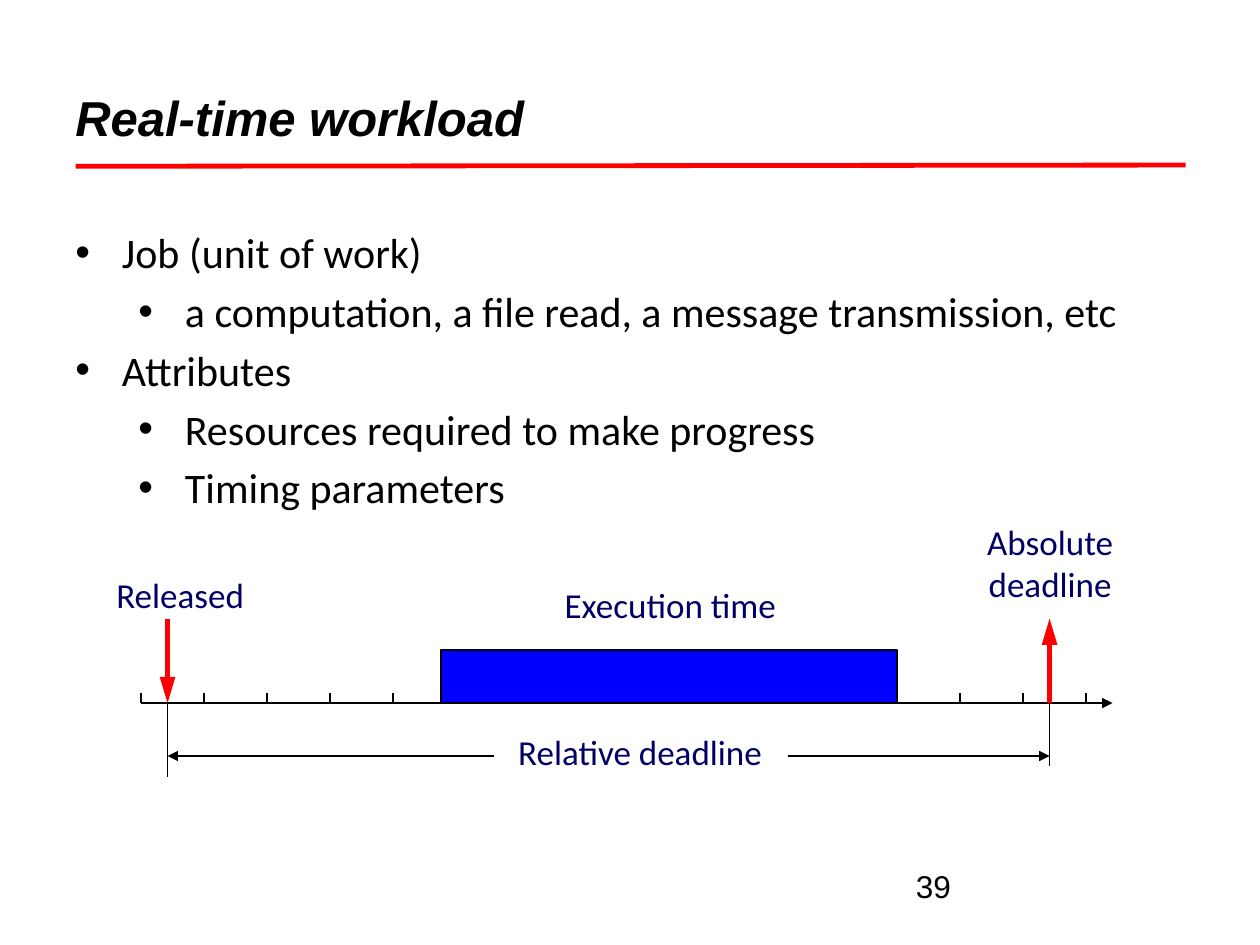
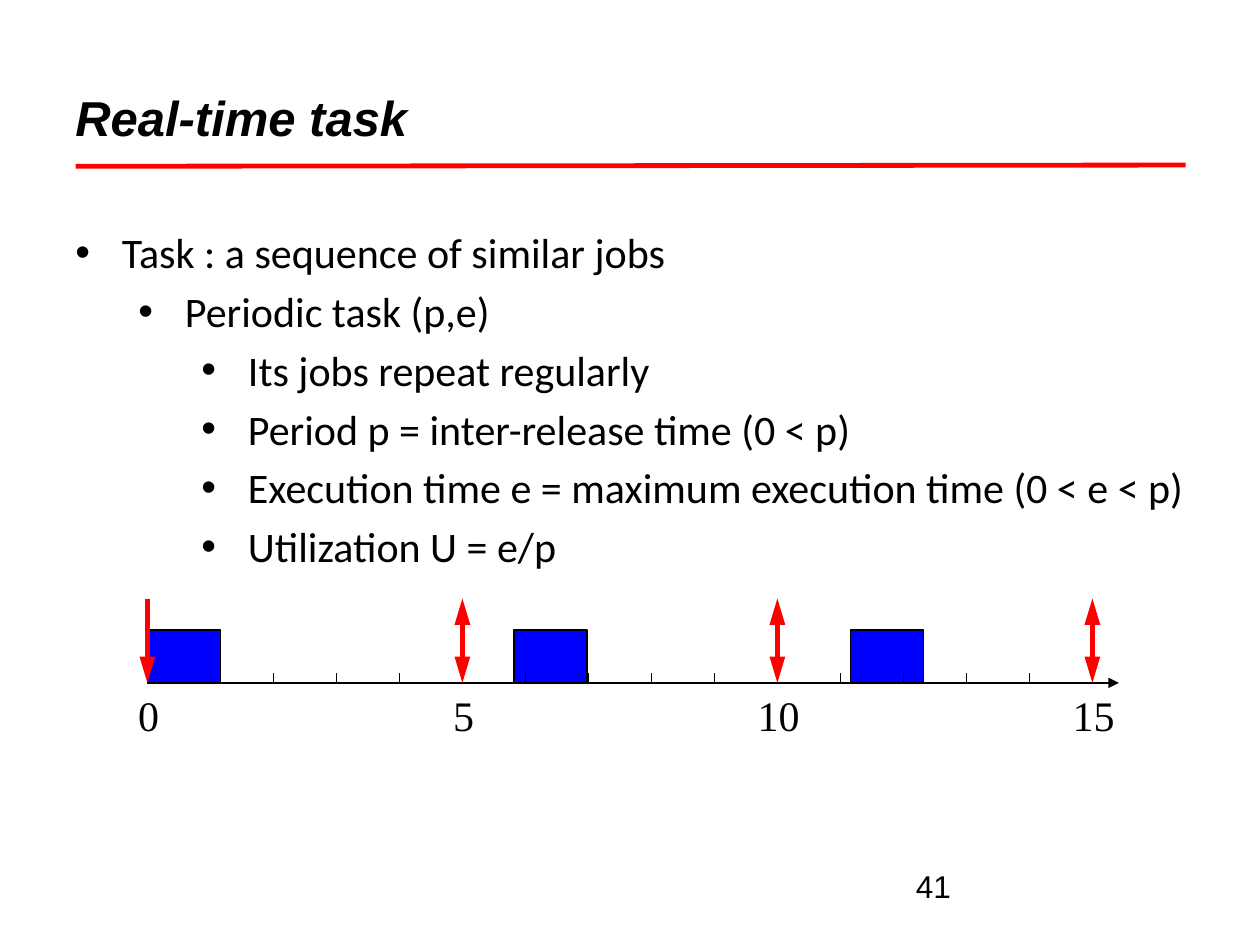
from pptx import Presentation
from pptx.dml.color import RGBColor
from pptx.enum.shapes import MSO_CONNECTOR, MSO_SHAPE
from pptx.enum.text import MSO_ANCHOR, PP_ALIGN
from pptx.oxml.ns import qn
from pptx.util import Inches, Pt
from lxml import etree

STRAIGHT = MSO_CONNECTOR.STRAIGHT
RECTANGLE = MSO_SHAPE.RECTANGLE
MIDDLE = MSO_ANCHOR.MIDDLE
TOP = MSO_ANCHOR.TOP
LEFT = PP_ALIGN.LEFT
CENTER = PP_ALIGN.CENTER
JUSTIFY = PP_ALIGN.JUSTIFY

BLACK = RGBColor(0x00, 0x00, 0x00)
RED = RGBColor(0xFF, 0x00, 0x00)
BLUE = RGBColor(0x00, 0x00, 0xFF)
NAVY = RGBColor(0x00, 0x00, 0x66)

TITLE_FONT = {"name": "Arial", "size": Pt(28), "bold": True, "italic": True}
BODY_FONT = {"name": "Calibri", "size": Pt(24)}
PAGE_FONT = {"name": "Arial", "size": Pt(18)}
LABEL_FONT = {"name": "Calibri", "size": Pt(20)}
TIME_FONT = {"name": "Times New Roman", "size": Pt(24)}

TICK_COUNT = 16
TICK_STEP = 0.5
TICK_HEIGHT = 0.08
AXIS_LENGTH = 7.71
JOB_HEIGHT = 0.42
EVENT_HEIGHT = 0.67
THIN = 0.75


def write(paragraph, text, font, color=BLACK):
    run = paragraph.add_run()
    run.text = text
    for attribute, value in font.items():
        setattr(run.font, attribute, value)
    run.font.color.rgb = color


def add_frame(slide, left, top, width, height, anchor=TOP):
    box = slide.shapes.add_textbox(
        Inches(left), Inches(top), Inches(width), Inches(height))
    frame = box.text_frame
    frame.word_wrap = True
    frame.vertical_anchor = anchor
    return frame


def add_text(slide, place, text, font, color=BLACK, align=LEFT, anchor=TOP):
    paragraph = add_frame(slide, *place, anchor).paragraphs[0]
    paragraph.alignment = align
    write(paragraph, text, font, color)


def add_bullets(slide, items):
    """Add (level, text) items as the body list."""
    frame = add_frame(slide, 0.5, 1.75, 9.1, 4.95)
    for index, (level, text) in enumerate(items):
        paragraph = frame.add_paragraph() if index else frame.paragraphs[0]
        properties = paragraph._p.get_or_add_pPr()
        properties.set("marL", str(Inches(0.37 + 0.5 * level)))
        properties.set("indent", str(Inches(-0.37)))
        etree.SubElement(properties, qn("a:buFont")).set("typeface", "Arial")
        etree.SubElement(properties, qn("a:buChar")).set("char", "•")
        paragraph.level = level
        paragraph.alignment = JUSTIFY
        if index:
            paragraph.space_before = Pt(4.8)
        write(paragraph, text, BODY_FONT)


def add_line(slide, start, end, color=BLACK, width=THIN, heads=(),
             head_length="med"):
    """Draw a line; heads may hold "headEnd" (start) and "tailEnd" (end)."""
    points = [Inches(value) for value in (*start, *end)]
    connector = slide.shapes.add_connector(STRAIGHT, *points)
    connector.line.color.rgb = color
    connector.line.width = Pt(width)
    properties = connector.element.spPr
    outline = properties.find(qn("a:ln"))
    for head in heads:
        arrowhead = etree.SubElement(outline, qn(f"a:{head}"))
        arrowhead.set("type", "triangle")
        arrowhead.set("len", head_length)
    etree.SubElement(properties, qn("a:effectLst"))


def add_job(slide, left, baseline, width):
    job = slide.shapes.add_shape(
        RECTANGLE, Inches(left), Inches(baseline - JOB_HEIGHT),
        Inches(width), Inches(JOB_HEIGHT))
    job.shadow.inherit = False
    job.fill.solid()
    job.fill.fore_color.rgb = BLUE
    job.line.color.rgb = BLACK
    job.line.width = Pt(1)


def add_timeline(slide, left, baseline):
    add_line(slide, (left, baseline), (left + AXIS_LENGTH, baseline),
             heads=["tailEnd"])
    for tick in range(TICK_COUNT):
        x = left + tick * TICK_STEP
        add_line(slide, (x, baseline - TICK_HEIGHT), (x, baseline))


def add_event(slide, x, baseline, heads):
    """Red arrow: pointing down is a release, pointing up a deadline."""
    add_line(slide, (x, baseline - EVENT_HEIGHT), (x, baseline),
             RED, 3, heads, "lg")


def add_label(slide, place, text):
    add_text(slide, place, text, LABEL_FONT, NAVY, CENTER)


def add_base_slide(deck, title, page, items):
    slide = deck.slides.add_slide(deck.slide_layouts[6])
    add_bullets(slide, items)
    add_line(slide, (0.6, 1.32), (9.41, 1.31), RED, 2.75)
    add_text(slide, (7.17, 6.83, 2.33, 0.52), page, PAGE_FONT)
    add_text(slide, (0.5, 0.3, 9, 1.25), title, TITLE_FONT, anchor=MIDDLE)
    return slide


def build_workload_slide(deck):
    slide = add_base_slide(deck, "Real-time workload", "39", [
        (0, "Job (unit of work)"),
        (1, "a computation, a file read, a message transmission, etc"),
        (0, "Attributes"),
        (1, "Resources required to make progress"),
        (1, "Timing parameters"),
    ])
    baseline, release, deadline, span_y = 5.58, 1.33, 8.33, 6
    add_timeline(slide, 1.12, baseline)
    add_job(slide, 3.5, baseline, 3.62)

    add_line(slide, (release, baseline), (release, 6.17))
    add_line(slide, (deadline, baseline), (deadline, 6.08))
    add_line(slide, (3.92, span_y), (release, span_y), heads=["tailEnd"])
    add_line(slide, (6.25, span_y), (deadline, span_y), heads=["tailEnd"])

    add_label(slide, (0.64, 4.5, 1.58, 0.43), "Released")
    add_label(slide, (7.67, 4.08, 1.33, 0.77), "Absolute deadline")
    add_label(slide, (3.79, 5.75, 2.58, 0.43), "Relative deadline")
    add_label(slide, (3.83, 4.58, 2.98, 0.43), "Execution time")
    add_event(slide, release, baseline, ["tailEnd"])
    add_event(slide, deadline, baseline, ["headEnd"])


def build_task_slide(deck):
    slide = add_base_slide(deck, "Real-time task", "41", [
        (0, "Task : a sequence of similar jobs"),
        (1, "Periodic task (p,e)"),
        (2, "Its jobs repeat regularly"),
        (2, "Period p = inter-release time (0 < p)"),
        (2, "Execution time e = maximum execution time (0 < e < p)"),
        (2, "Utilization U = e/p"),
    ])
    start, baseline, job_width = 1.17, 5.42, 0.58
    for job_left in (4.08, 6.75):
        add_job(slide, job_left, baseline, job_width)
    add_timeline(slide, start, baseline)
    add_job(slide, start, baseline, job_width)

    for time in range(0, TICK_COUNT, 5):
        x = start + time * TICK_STEP
        heads = ["headEnd", "tailEnd"] if time else ["tailEnd"]
        add_event(slide, x, baseline, heads)
        width = 0.37 if time < 10 else 0.53
        add_text(slide, (x + 0.01 - width / 2, baseline, width, 0.5),
                 str(time), TIME_FONT, align=CENTER)


def main():
    deck = Presentation()
    deck.slide_width = Inches(10)
    deck.slide_height = Inches(7.5)
    build_workload_slide(deck)
    build_task_slide(deck)
    deck.save("out.pptx")


if __name__ == "__main__":
    main()
